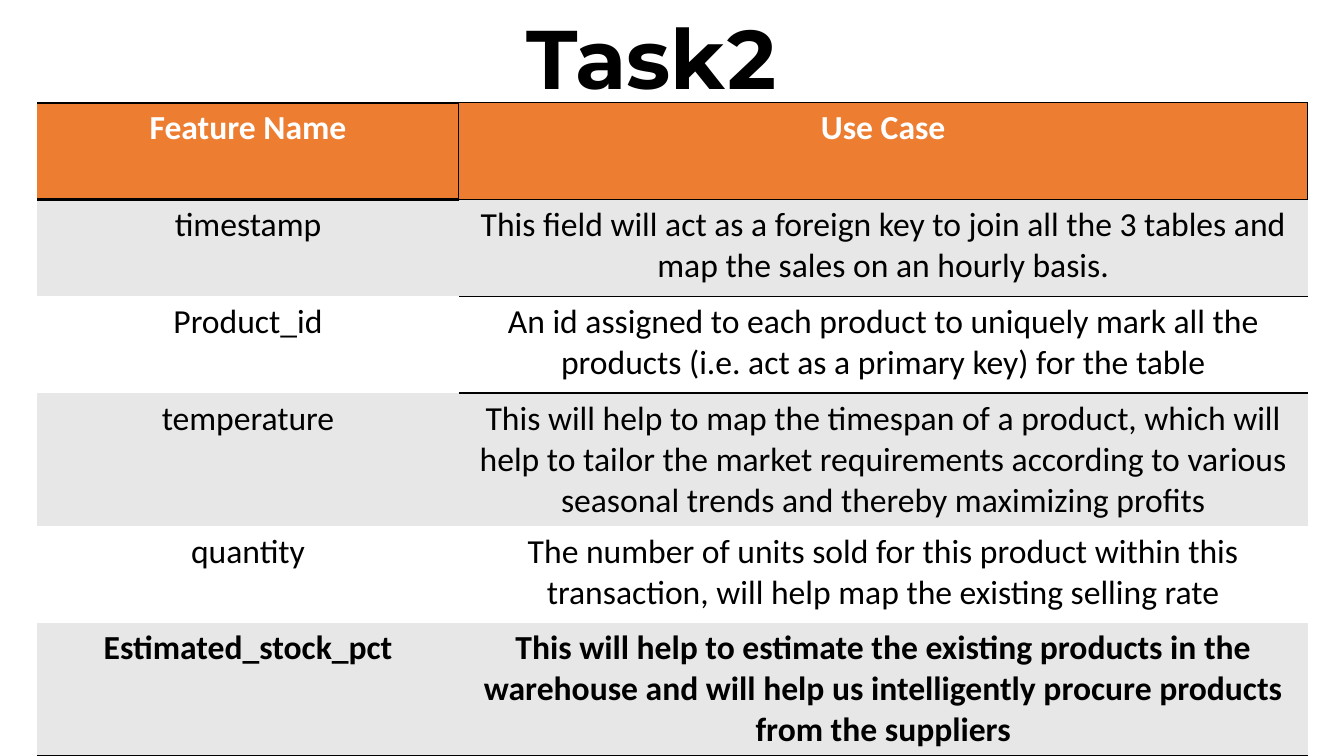
from lxml.etree import SubElement as add_child
from pptx import Presentation
from pptx.dml.color import RGBColor as Rgb
from pptx.enum.text import MSO_ANCHOR as Anchor, MSO_AUTO_SIZE as AutoSize, PP_ALIGN as Align
from pptx.oxml.ns import qn
from pptx.util import Pt

EMU_PER_PX = 9144
TITLE_ONLY = 5
NO_STYLE = "{2D5ABB26-0587-4C30-8999-92F81FD0307C}"
COLORS = {
    "ink": "000000",
    "header": "ED7D31",
    "header_text": "FFFFFF",
    "band": "E7E7E7",
    "plain": "FFFFFF",
}
COLUMN_WIDTHS = [418, 842]
ROW_HEIGHTS = [96, 96, 96, 126, 96, 96]
FEATURES = [
    ("Feature Name", "Use Case"),
    ("timestamp",
     "This field will act as a foreign key to join all the 3 tables and "
     "map the sales on an hourly basis."),
    ("Product_id",
     "An id assigned to each product to uniquely mark all the products "
     "(i.e. act as a primary key) for the table"),
    ("temperature",
     "This will help to map the timespan of a product, which will help to "
     "tailor the market requirements according to various seasonal trends "
     "and thereby maximizing profits"),
    ("quantity",
     "The number of units sold for this product within this transaction, "
     "will help map the existing selling rate"),
    ("Estimated_stock_pct",
     "This will help to estimate the existing products in the warehouse and "
     "will help us intelligently procure products from the suppliers"),
]
BORDERS = {
    (0, 0): {"R": 1, "T": 2, "B": 2},
    (0, 1): {"L": 1, "R": 1, "T": 1, "B": 1},
    (1, 1): {"T": 1, "B": 1},
    (2, 1): {"T": 1},
    (5, 0): {"B": 2},
    (5, 1): {"B": 2},
}


def px(length):
    """Turn a length in px into EMU."""
    return length * EMU_PER_PX


def color(name):
    """Look up a named colour."""
    return Rgb.from_string(COLORS[name])


def write(frame, text, font, size, ink, bold):
    """Write one centred paragraph and return it."""
    para = frame.paragraphs[0]
    para.alignment = Align.CENTER
    span = para.add_run()
    span.text = text
    span.font.name = font
    span.font.size = Pt(size)
    span.font.bold = bold
    span.font.color.rgb = color(ink)
    return para


def add_title(page, text):
    """Place and format the slide title."""
    box = page.shapes.title
    box.left, box.top, box.width, box.height = map(px, (146, 13, 1000, 99))
    frame = box.text_frame
    frame.word_wrap = True
    frame.auto_size = AutoSize.NONE
    frame.vertical_anchor = Anchor.BOTTOM
    write(frame, text, "Montserrat", 59.4, "ink", True).line_spacing = 0.9


def draw_borders(cell, widths):
    """Draw the given sides of a cell, with widths in points."""
    properties = cell._tc.get_or_add_tcPr()
    for side, width in widths.items():
        line = add_child(properties, qn(f"a:ln{side}"), w=str(Pt(width)))
        fill = add_child(line, qn("a:solidFill"))
        add_child(fill, qn("a:srgbClr"), val=COLORS["ink"])


def format_cell(cell, row, column, text):
    """Give a cell its borders, fill and text."""
    header = row == 0
    draw_borders(cell, BORDERS.get((row, column), {}))
    cell.fill.solid()
    cell.fill.fore_color.rgb = color("header" if header else "band" if row % 2 else "plain")
    bold = row in (0, len(FEATURES) - 1)
    write(cell.text_frame, text, "Calibri", 24, "header_text" if header else "ink", bold)


def add_feature_table(page):
    """Add the table of features and their use cases."""
    frame = page.shapes.add_table(
        len(ROW_HEIGHTS), len(COLUMN_WIDTHS),
        px(37), px(102), px(sum(COLUMN_WIDTHS)), px(sum(ROW_HEIGHTS)))
    table = frame.table
    table._tbl.tblPr.find(qn("a:tableStyleId")).text = NO_STYLE
    for column, width in zip(table.columns, COLUMN_WIDTHS):
        column.width = px(width)
    for row, height in zip(table.rows, ROW_HEIGHTS):
        row.height = px(height)
    for row, texts in enumerate(FEATURES):
        for column, text in enumerate(texts):
            format_cell(table.cell(row, column), row, column, text)


def main():
    """Build the slide and save it."""
    deck = Presentation()
    deck.slide_width, deck.slide_height = px(1333), px(750)
    page = deck.slides.add_slide(deck.slide_layouts[TITLE_ONLY])
    add_title(page, "Task2")
    add_feature_table(page)
    deck.save("out.pptx")


if __name__ == "__main__":
    main()
